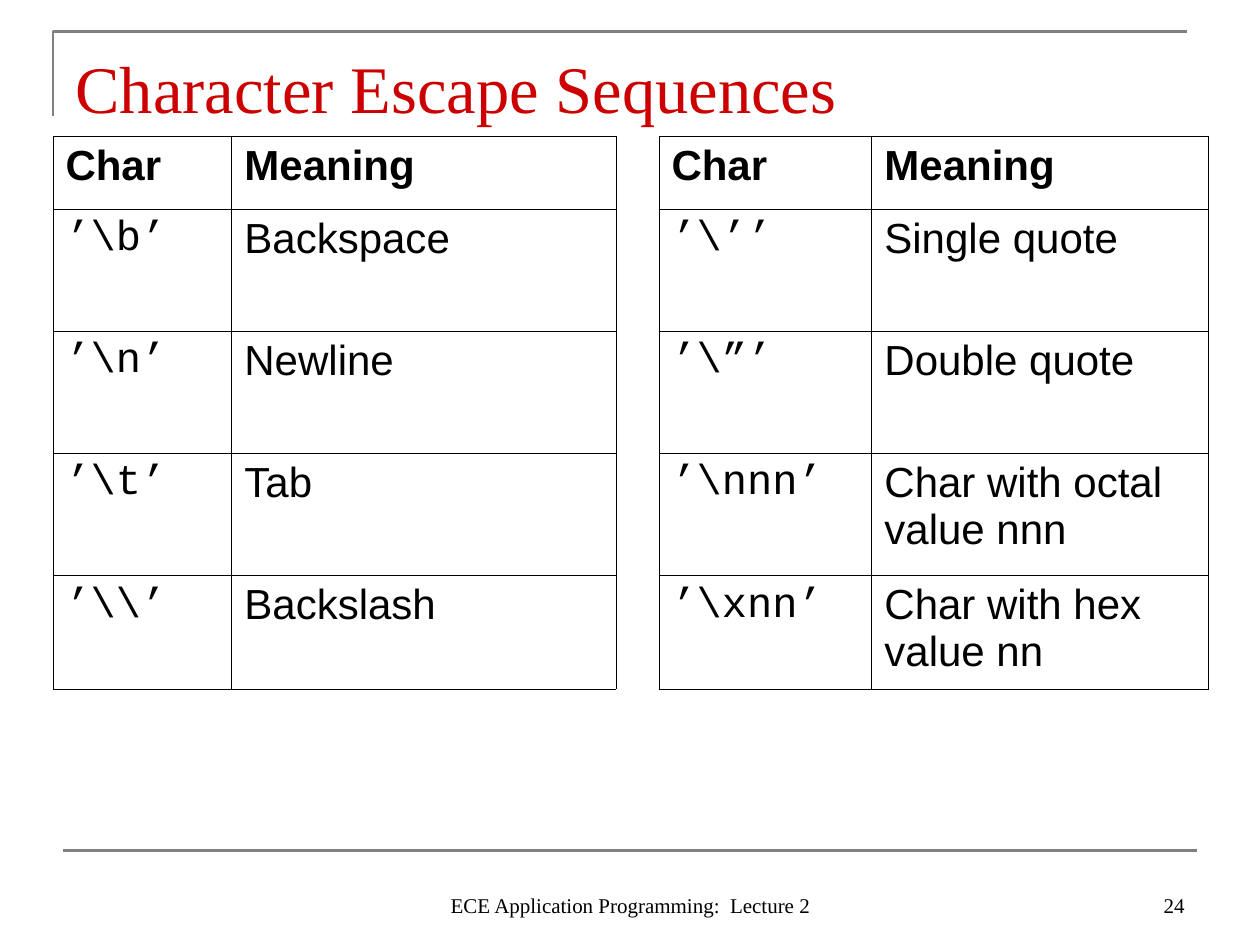
from lxml.etree import SubElement
from pptx import Presentation
from pptx.dml.color import RGBColor as RGB
from pptx.enum.shapes import MSO_CONNECTOR as CONN
from pptx.enum.text import MSO_ANCHOR as ANCHOR, MSO_AUTO_SIZE as FIT, PP_ALIGN as ALIGN
from pptx.oxml.ns import qn
from pptx.util import Inches, Pt

COLORS = {"title": "CC0000", "text": "000000", "rule": "808080", "border": "000000"}
SERIF, SANS, MONO = "Times New Roman", "Arial", "Courier New"

GAP = 2
COLS = [1.42, 3.05, 0.34, 1.69, 2.67]
ROWS = [0.58, 0.97, 0.97, 0.97, 0.9]
LEFT_CODES = [
    (r"’\b’", "Backspace"),
    (r"’\n’", "Newline"),
    (r"’\t’", "Tab"),
    (r"’\\’", "Backslash"),
]
RIGHT_CODES = [
    (r"’\’’", "Single quote"),
    (r"’\”’", "Double quote"),
    (r"’\nnn’", "Char with octal value nnn"),
    (r"’\xnn’", "Char with hex value nn"),
]


def put_text(tf, text, font=SANS, size=24, color="text", bold=False,
             align=ALIGN.LEFT, anchor=None):
    tf.word_wrap = True
    if anchor is not None:
        tf.auto_size = FIT.NONE
        tf.vertical_anchor = anchor
    p = tf.paragraphs[0]
    p.alignment = align
    r = p.add_run()
    r.text = text
    r.font.name = font
    r.font.size = Pt(size)
    r.font.bold = bold
    r.font.color.rgb = RGB.from_string(COLORS[color])


class Deck:
    def __init__(self):
        self.prs = Presentation()
        self.prs.slide_width, self.prs.slide_height = Inches(10), Inches(7.5)
        self.s = self.prs.slides.add_slide(self.prs.slide_layouts[5])

    def title(self, text, x, y, w, h):
        sp = self.s.shapes.title
        sp.left, sp.top, sp.width, sp.height = map(Inches, (x, y, w, h))
        put_text(sp.text_frame, text, font=SERIF, size=38, color="title",
                 anchor=ANCHOR.MIDDLE)

    def label(self, text, x, y, w, h, align):
        sp = self.s.shapes.add_textbox(*map(Inches, (x, y, w, h)))
        put_text(sp.text_frame, text, font=SERIF, size=12, align=align,
                 anchor=ANCHOR.BOTTOM)

    def style_line(self, sp):
        sp.line.color.rgb = RGB.from_string(COLORS["rule"])
        sp.line.width = Pt(1.5)

    def rule(self, x1, y1, x2, y2):
        c = self.s.shapes.add_connector(CONN.STRAIGHT, *map(Inches, (x1, y1, x2, y2)))
        self.style_line(c)
        SubElement(c._element.spPr, qn("a:effectLst"))

    def corner(self, points):
        start, *rest = [(Inches(x), Inches(y)) for x, y in points]
        fb = self.s.shapes.build_freeform(*start)
        fb.add_line_segments(rest, close=False)
        sp = fb.convert_to_shape()
        sp.shadow.inherit = False
        sp.fill.background()
        self.style_line(sp)

    def border(self, cell, sides):
        tc_pr = cell._tc.get_or_add_tcPr()
        for side in "LRTB":
            ln = SubElement(tc_pr, qn(f"a:ln{side}"), w=str(Pt(0.45)))
            if side in sides:
                fill = SubElement(ln, qn("a:solidFill"))
                SubElement(fill, qn("a:srgbClr"), val=COLORS["border"])
            else:
                SubElement(ln, qn("a:noFill"))

    def table(self, rows, x, y):
        t = self.s.shapes.add_table(
            len(ROWS), len(COLS), Inches(x), Inches(y),
            Inches(sum(COLS)), Inches(sum(ROWS))).table
        t.first_row = t.horz_banding = False
        for col, w in zip(t.columns, COLS):
            col.width = Inches(w)
        for row, h in zip(t.rows, ROWS):
            row.height = Inches(h)
        for i, values in enumerate(rows):
            for j, text in enumerate(values):
                cell = t.cell(i, j)
                self.border(cell, "LR" if j == GAP else "LRTB")
                cell.fill.background()
                if text:
                    is_code = i > 0 and j in (0, GAP + 1)
                    put_text(cell.text_frame, text, bold=i == 0,
                             font=MONO if is_code else SANS)


def main():
    deck = Deck()
    deck.corner([(0.42, 0.92), (0.42, 0.25), (9.42, 0.25)])
    deck.rule(0.5, 6.75, 9.5, 6.75)
    deck.title("Character Escape Sequences", 0.5, 0.3, 9, 0.78)
    deck.label("24", 7.17, 6.83, 2.33, 0.5, ALIGN.RIGHT)
    header = ("Char", "Meaning")
    rows = [(*left, "", *right) for left, right in
            zip([header, *LEFT_CODES], [header, *RIGHT_CODES])]
    deck.table(rows, 0.42, 1.08)
    deck.label("ECE Application Programming:  Lecture 2", 3.42, 6.83, 3.17, 0.5,
               ALIGN.CENTER)
    deck.prs.save("out.pptx")


if __name__ == "__main__":
    main()
